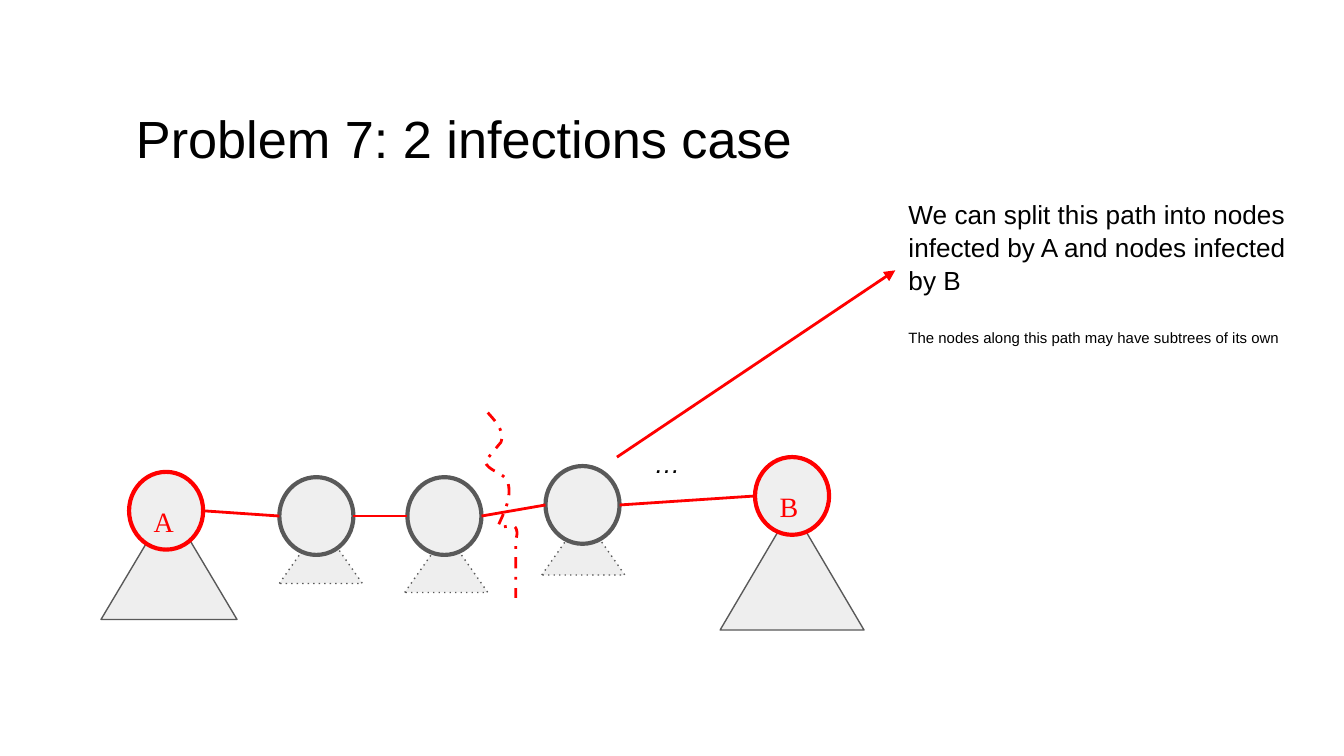
import dataclasses
import itertools

import pptx
import pptx.dml.color
import pptx.enum.dml
import pptx.enum.shapes
import pptx.enum.text
import pptx.oxml
import pptx.oxml.ns
import pptx.util

Cm = pptx.util.Cm
Pt = pptx.util.Pt
SHAPE = pptx.enum.shapes.MSO_SHAPE
ANCHOR = pptx.enum.text.MSO_ANCHOR
DASH = pptx.enum.dml.MSO_LINE


@dataclasses.dataclass(frozen=True)
class Theme:
    black: str = "000000"
    red: str = "FF0000"
    gray: str = "595959"
    node_fill: str = "EFEFEF"
    subtree_fill: str = "EEEEEE"
    sans: str = "Arial"
    serif: str = "Times New Roman"
    title: float = 28
    label: float = 15
    body: float = 14
    note: float = 8
    thin: float = 0.75
    medium: float = 1.5
    thick: float = 2.25


theme = Theme()


def set_line(line, color, width):
    line.color.rgb = pptx.dml.color.RGBColor.from_string(color)
    line.width = Pt(width)


def add_run(paragraph, text, size, color=theme.black, font=theme.sans, italic=False):
    paragraph.alignment = pptx.enum.text.PP_ALIGN.LEFT
    run = paragraph.add_run()
    run.text = text
    run.font.size = Pt(size)
    run.font.name = font
    run.font.italic = italic
    run.font.color.rgb = pptx.dml.color.RGBColor.from_string(color)


presentation = pptx.Presentation()
presentation.slide_width = Cm(25.4)
presentation.slide_height = Cm(14.29)
slide = presentation.slides.add_slide(presentation.slide_layouts[5])
shapes = slide.shapes

title = shapes.title
title.left, title.top, title.width, title.height = Cm(2.39), Cm(1.27), Cm(20.57), Cm(2.82)
frame = title.text_frame
frame.auto_size = pptx.enum.text.MSO_AUTO_SIZE.NONE
frame.vertical_anchor = ANCHOR.MIDDLE
frame.margin_left = frame.margin_right = Cm(0.18)
frame.margin_top = frame.margin_bottom = Cm(0.1)
frame.paragraphs[0].line_spacing = 0.9
add_run(frame.paragraphs[0], "Problem 7: 2 infections case", theme.title)

subtrees = [
    (10.24, 9.75, 1.57, 1.12, True),
    (7.65, 10.08, 1.57, 1.12, True),
    (5.28, 9.91, 1.57, 1.12, True),
    (1.91, 9.55, 2.57, 2.16, False),
    (13.61, 9.6, 2.72, 2.31, False),
]
for left, top, width, height, dotted in subtrees:
    triangle = shapes.add_shape(
        SHAPE.ISOSCELES_TRIANGLE, Cm(left), Cm(top), Cm(width), Cm(height)
    )
    triangle.shadow.inherit = False
    triangle.fill.solid()
    triangle.fill.fore_color.rgb = pptx.dml.color.RGBColor.from_string(theme.subtree_fill)
    set_line(triangle.line, theme.gray, theme.thin)
    if dotted:
        triangle.line.dash_style = DASH.ROUND_DOT
        dash = triangle._element.find(".//" + pptx.oxml.ns.qn("a:prstDash"))
        dash.set("val", "dot")

node_width, node_height = 1.4, 1.47
path_nodes = [
    (2.44, 8.92, "A"),
    (5.28, 9.02, ""),
    (7.7, 9.02, ""),
    (10.31, 8.81, ""),
    (14.27, 8.64, "B"),
]
for left, top, label in path_nodes:
    node = shapes.add_shape(
        SHAPE.OVAL, Cm(left), Cm(top), Cm(node_width), Cm(node_height)
    )
    node.shadow.inherit = False
    node.fill.solid()
    node.fill.fore_color.rgb = pptx.dml.color.RGBColor.from_string(theme.node_fill)
    set_line(node.line, theme.red if label else theme.gray, theme.thick)
    if label:
        frame = node.text_frame
        frame.vertical_anchor = ANCHOR.BOTTOM
        frame.margin_left = Cm(0.26)
        frame.margin_right = frame.margin_top = frame.margin_bottom = 0
        add_run(frame.paragraphs[0], label, theme.label, theme.red, theme.serif)

lines = [
    (start[0] + node_width, start[1] + node_height / 2, end[0], end[1] + node_height / 2)
    for start, end in itertools.pairwise(path_nodes)
]
lines.append((11.66, 8.64, 16.92, 5.11))
for line_ends in lines:
    connector = shapes.add_connector(
        pptx.enum.shapes.MSO_CONNECTOR.STRAIGHT, *[Cm(value) for value in line_ends]
    )
    set_line(connector.line, theme.red, theme.medium)
    properties = connector._element.spPr
    properties.append(pptx.oxml.parse_xml(f"<a:effectLst {pptx.oxml.ns.nsdecls('a')}/>"))
arrowhead = pptx.oxml.parse_xml(f'<a:tailEnd {pptx.oxml.ns.nsdecls("a")} type="triangle"/>')
properties.find(pptx.oxml.ns.qn("a:ln")).append(arrowhead)

split_start = (9.22, 7.8)
split_curves = [
    ((9.35, 7.95), (9.55, 8.15), (9.47, 8.36)),
    ((9.47, 8.36), (9.17, 8.71), (9.17, 8.74)),
    ((9.25, 8.92), (9.55, 8.94), (9.6, 9.12)),
    ((9.68, 9.4), (9.53, 9.68), (9.42, 9.93)),
    ((9.37, 10.03), (9.7, 9.88), (9.75, 9.98)),
    ((9.8, 10.11), (9.75, 10.13), (9.75, 10.26)),
    ((9.75, 10.59), (9.75, 10.95), (9.75, 11.3)),
]
steps = 10
split_points = [split_start]
for control_1, control_2, end in split_curves:
    start = split_points[-1]
    for step in range(1, steps + 1):
        t = step / steps
        split_points.append(tuple(
            (1 - t) ** 3 * a + 3 * (1 - t) ** 2 * t * b + 3 * (1 - t) * t ** 2 * c + t ** 3 * d
            for a, b, c, d in zip(start, control_1, control_2, end)
        ))
split_points = [(Cm(x), Cm(y)) for x, y in split_points]
builder = shapes.build_freeform(*split_points[0])
builder.add_line_segments(split_points[1:], close=False)
split = builder.convert_to_shape()
split.shadow.inherit = False
split.fill.background()
set_line(split.line, theme.red, theme.medium)
split.line.dash_style = DASH.DASH_DOT

ellipsis = shapes.add_textbox(Cm(12.12), Cm(8.2), Cm(6.78), Cm(1.12))
explanation = shapes.add_textbox(Cm(16.92), Cm(3.48), Cm(8), Cm(3.25))
for box in (ellipsis, explanation):
    frame = box.text_frame
    frame.word_wrap = True
    frame.margin_left = frame.margin_right = Cm(0.25)
    frame.margin_top = frame.margin_bottom = Cm(0.25)

add_run(ellipsis.text_frame.paragraphs[0], "…", theme.body, italic=True)

paragraph = explanation.text_frame.paragraphs[0]
paragraph.line_spacing = 1.05
add_run(
    paragraph,
    "We can split this path into nodes infected by A and nodes infected by B",
    theme.body,
)
paragraph = explanation.text_frame.add_paragraph()
paragraph.line_spacing = 1.05
paragraph.space_before = Pt(17)
add_run(paragraph, "The nodes along this path may have subtrees of its own", theme.note)

presentation.save("out.pptx")
